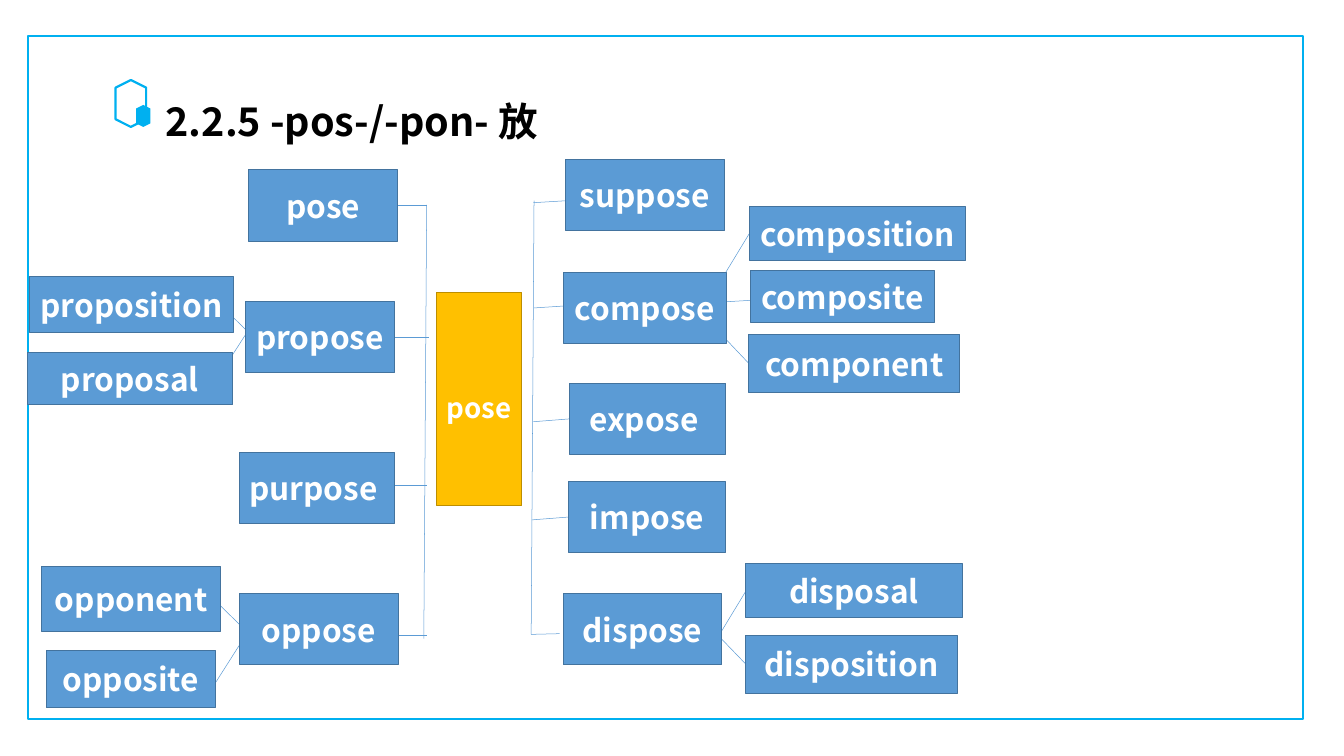
from lxml.etree import SubElement
from pptx import Presentation
from pptx.dml.color import RGBColor
from pptx.enum.shapes import MSO_CONNECTOR, MSO_SHAPE
from pptx.enum.text import MSO_ANCHOR, MSO_AUTO_SIZE, PP_ALIGN
from pptx.oxml.ns import qn
from pptx.util import Inches, Pt

FONT = "Noto Sans CJK SC"
CYAN = RGBColor(0x00, 0xB0, 0xF0)
BLUE = RGBColor(0x5B, 0x9B, 0xD5)
BLUE_EDGE = RGBColor(0x43, 0x73, 0x9E)
GOLD = RGBColor(0xFF, 0xC0, 0x00)
GOLD_EDGE = RGBColor(0xBD, 0x8E, 0x00)
WHITE = RGBColor(0xFF, 0xFF, 0xFF)
BLACK = RGBColor(0x00, 0x00, 0x00)

# Grid of 189 columns by 106.3 rows, one cell a tenth of an inch
CELL = Inches(0.1)
COLS, ROWS = 189, 106.3


def add_block(kind, box, fill=None, edge=None, weight=1):
    sp = s.shapes.add_shape(kind, *[int(v * CELL) for v in box])
    sp.shadow.inherit = False
    if fill is None:
        sp.fill.background()
    else:
        sp.fill.solid()
        sp.fill.fore_color.rgb = fill
    if edge is None:
        sp.line.fill.background()
    else:
        sp.line.color.rgb = edge
        sp.line.width = Pt(weight)
    return sp


def write(tf, text, size, color, align):
    tf.text = text
    tf.word_wrap = True
    p = tf.paragraphs[0]
    p.alignment = align
    r = p.runs[0]
    r.font.name = FONT
    r.font.size = Pt(size)
    r.font.bold = True
    r.font.color.rgb = color
    SubElement(r.font._element, qn("a:ea"), typeface=FONT)
    return p


prs = Presentation()
prs.slide_width = int(COLS * CELL)
prs.slide_height = int(ROWS * CELL)
s = prs.slides.add_slide(prs.slide_layouts[5])

# Frame and hexagon mark
add_block(MSO_SHAPE.RECTANGLE, (3.9, 5.1, 179.3, 96), edge=CYAN, weight=2.25)
add_block(MSO_SHAPE.HEXAGON, (15.1, 12.4, 6.6, 4.3), edge=CYAN, weight=2.25).rotation = 90
add_block(MSO_SHAPE.HEXAGON, (18.6, 15.3, 3.1, 2), fill=CYAN).rotation = 90

# Title
title = s.shapes.title
title.left, title.top, title.width, title.height = [
    int(v * CELL) for v in (22.3, 13.2, 58.2, 7.7)]
tf = title.text_frame
write(tf, "2.2.5 -pos-/-pon- 放", 40, BLACK, PP_ALIGN.LEFT)
tf.auto_size = MSO_AUTO_SIZE.NONE
tf.vertical_anchor = MSO_ANCHOR.TOP

# Lines: start column, start row, end column, end row
spines = [(60, 28.8, 59.6, 89.8), (75.1, 28.2, 74.7, 89.2)]
stubs = [
    (54.7, 28.9, 60.1, 28.9), (54.4, 47.4, 60.4, 47.4),
    (54.8, 68.3, 60.1, 68.3), (56, 89.3, 60.1, 89.3),
    (75, 28.5, 80.1, 28.2), (75.1, 43.3, 79.7, 43),
    (75, 59.3, 80.1, 58.9), (74.8, 73.1, 80, 72.7),
    (74.7, 89.2, 78.7, 89.1),
]
twigs = [
    (100.6, 40.7, 105.4, 32.8), (100.9, 42.5, 106.1, 42.2),
    (99.9, 45.4, 105.3, 51.1), (100.1, 91, 104.9, 83.1),
    (99.4, 87.7, 104.9, 93.4), (29.6, 41.5, 34.5, 46.3),
    (30.3, 53.6, 34.5, 47.1), (30, 84.2, 34.9, 89),
    (30.3, 96, 34.5, 89.4),
]
for ends in spines + stubs + twigs:
    line = s.shapes.add_connector(MSO_CONNECTOR.STRAIGHT, *[int(v * CELL) for v in ends])
    line.line.color.rgb = BLUE
    line.line.width = Pt(0.5)
    SubElement(line._element.spPr, qn("a:effectLst"))

# Words: left, top, width, height
words = [
    ("pose", 35, 23.9, 20.9, 10),
    ("propose", 34.5, 42.4, 21, 10),
    ("purpose ", 33.7, 63.6, 21.8, 10),
    ("oppose", 33.7, 83.5, 22.3, 10),
    ("suppose", 79.5, 22.4, 22.4, 10),
    ("compose", 79.3, 38.3, 22.8, 10),
    ("expose ", 80.1, 53.9, 22, 10),
    ("impose", 80, 67.7, 22, 10),
    ("dispose", 79.2, 83.5, 22.3, 10),
    ("proposition", 4.2, 38.9, 28.6, 7.8),
    ("proposal", 3.8, 49.6, 28.9, 7.3),
    ("opponent", 5.9, 79.6, 25.1, 9.2),
    ("opposite", 6.5, 91.4, 23.8, 8.1),
    ("composition", 105.4, 29.1, 30.4, 7.5),
    ("composite", 105.5, 38.1, 25.9, 7.2),
    ("component", 105.3, 47, 29.7, 8.2),
    ("disposal", 104.9, 79.3, 30.4, 7.5),
    ("disposition", 104.9, 89.3, 29.7, 8.2),
]
for word, *box in words:
    sp = add_block(MSO_SHAPE.RECTANGLE, box, BLUE, BLUE_EDGE)
    write(sp.text_frame, word, 32, WHITE, PP_ALIGN.CENTER)

# Root in the middle
root = add_block(MSO_SHAPE.RECTANGLE, (61.4, 41.1, 12, 30), GOLD, GOLD_EDGE)
p = write(root.text_frame, "pose", 28, WHITE, PP_ALIGN.CENTER)
p.line_spacing = 1.5

prs.save("out.pptx")
